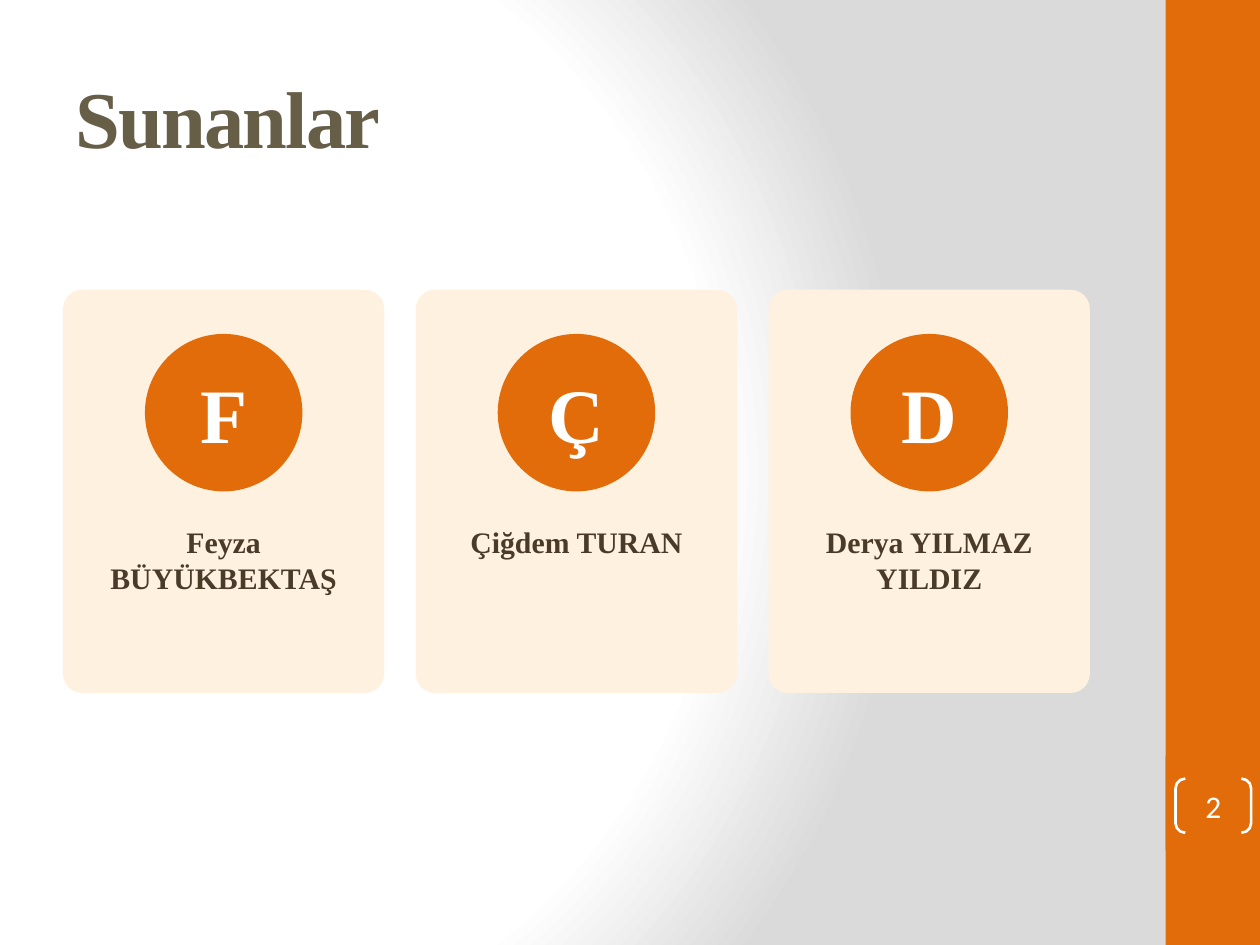
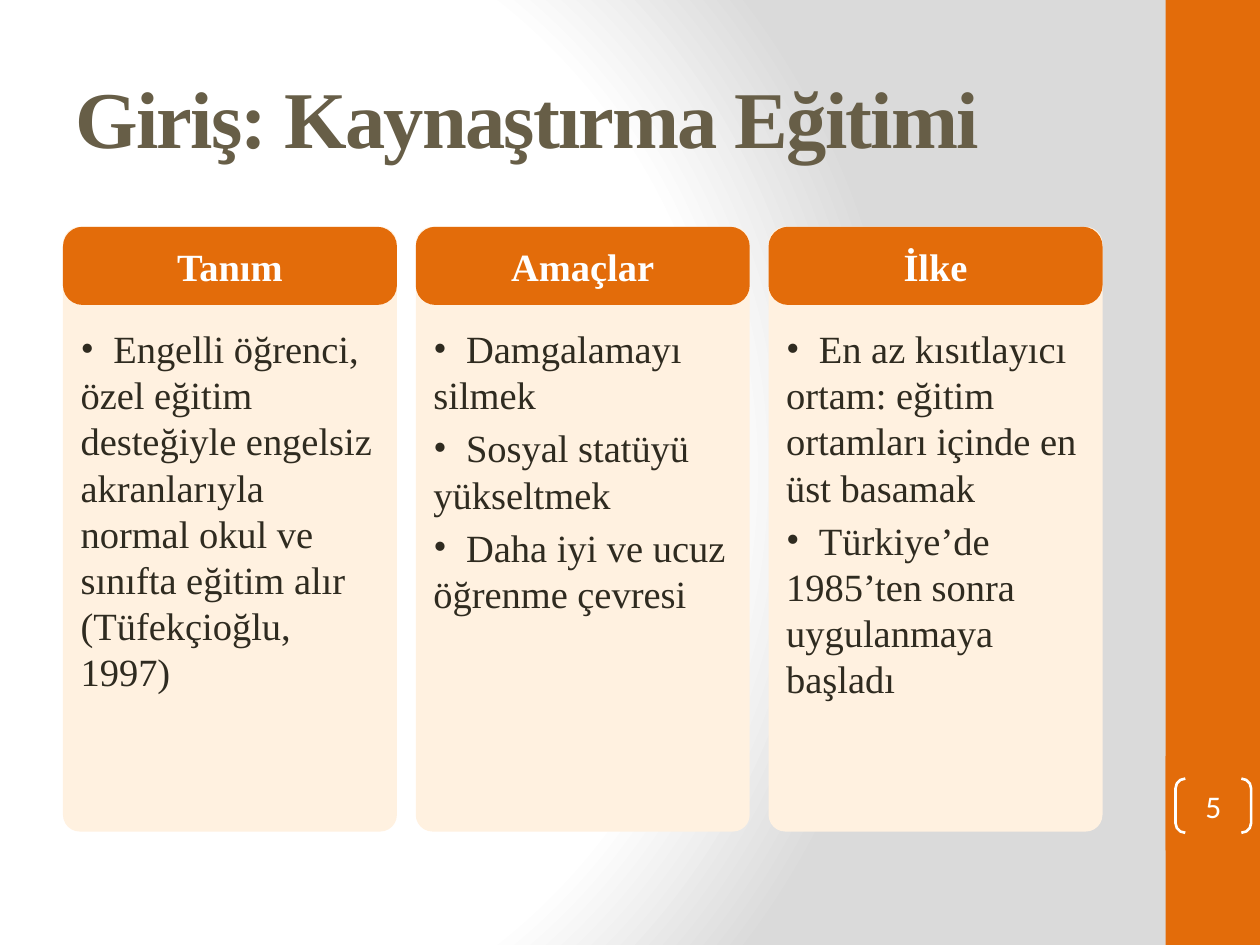
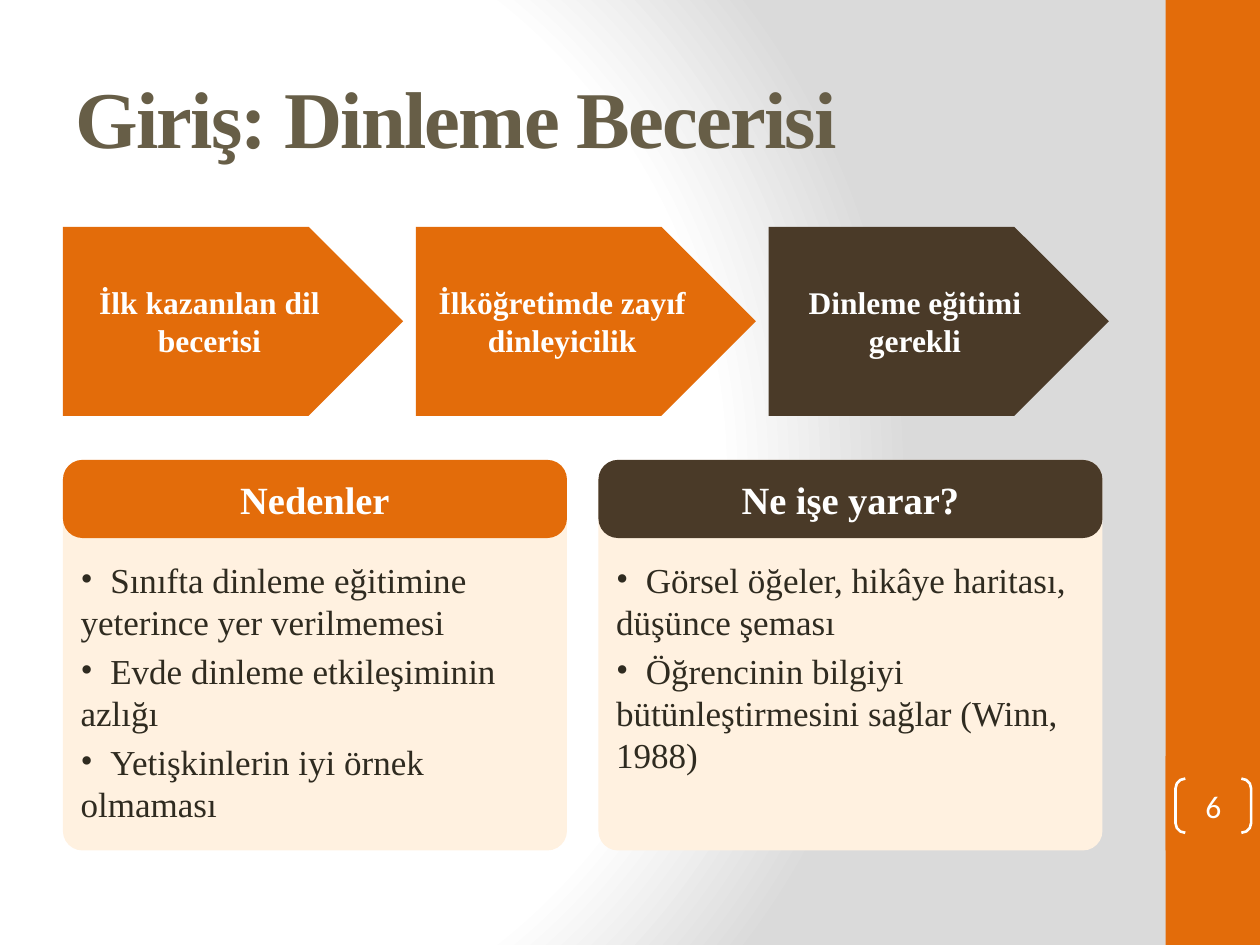
import pptx
import pptx.util
import pptx.oxml
import pptx.dml.color
import pptx.enum.shapes
import pptx.enum.text

Inches = pptx.util.Inches
Pt = pptx.util.Pt
SHAPE = pptx.enum.shapes.MSO_SHAPE
ALIGN = pptx.enum.text.PP_ALIGN
ANCHOR = pptx.enum.text.MSO_ANCHOR
NS = 'xmlns:a="http://schemas.openxmlformats.org/drawingml/2006/main"'

COLORS = {
    "white": "FFFFFF",
    "gray": "DADADA",
    "orange": "E36C0A",
    "cream": "FFF1E0",
    "brown": "4A3A28",
    "olive": "675E47",
    "ink": "2F2B20",
}
SERIF = "Times New Roman"
LEFT = 0.5
STEP = 2.8
TOP = 1.8


def color(name):
    return pptx.dml.color.RGBColor.from_string(COLORS[name])


def add_bullet(para, size):
    props = para._p.get_or_add_pPr()
    props.set("marL", "0")
    props.set("indent", "0")
    gap = Pt(size * 0.85)
    for xml in (
        f'<a:buFont {NS} typeface="{SERIF}"/>',
        f'<a:buChar {NS} char="•"/>',
        f'<a:tabLst {NS}><a:tab pos="{gap}" algn="l"/></a:tabLst>',
    ):
        props.append(pptx.oxml.parse_xml(xml))


def write(shape, text, size=22, ink="white", bold=True, font=SERIF,
          align=ALIGN.CENTER, anchor=ANCHOR.MIDDLE, pad=(0.12, 0.06),
          after=4, track=None, bullet=False):
    frame = shape.text_frame
    frame.word_wrap = True
    frame.vertical_anchor = anchor
    frame.margin_left = frame.margin_right = Inches(pad[0])
    frame.margin_top = frame.margin_bottom = Inches(pad[1])
    lines = text if isinstance(text, list) else [text]
    for i, line in enumerate(lines):
        para = frame.add_paragraph() if i else frame.paragraphs[0]
        para.alignment = align
        para.space_after = Pt(after)
        if bullet:
            add_bullet(para, size)
        run = para.add_run()
        run.text = "\t" + line if bullet else line
        run.font.name = font
        run.font.size = Pt(size)
        run.font.bold = bold
        run.font.color.rgb = color(ink)
        if track is not None:
            run._r.get_or_add_rPr().set("spc", str(track * 100))


class Deck:
    def __init__(self):
        self.prs = pptx.Presentation()
        self.prs.slide_width = Inches(10)
        self.prs.slide_height = Inches(7.5)
        self.slide = None
        self.paint_back()

    def paint_back(self):
        master = self.prs.slide_master
        master.background.fill.solid()
        old = master.element.xpath("p:cSld/p:bg/p:bgPr/a:solidFill")[0]
        stops = "".join(
            f'<a:gs pos="{pos * 1000}"><a:srgbClr val="{COLORS[name]}"/></a:gs>'
            for pos, name in ((0, "white"), (75, "white"), (100, "gray"))
        )
        grad = pptx.oxml.parse_xml(
            f'<a:gradFill {NS} rotWithShape="1"><a:gsLst>{stops}</a:gsLst>'
            '<a:path path="circle"><a:fillToRect l="20000" t="50000" '
            'r="100000" b="50000"/></a:path></a:gradFill>'
        )
        old.getparent().replace(old, grad)

    def start(self, title):
        self.slide = self.prs.slides.add_slide(self.prs.slide_layouts[6])
        for top, high in ((0, 7.5), (6, 0.75)):
            self.shape(SHAPE.RECTANGLE, 9.25, top, 0.75, high, "orange")
        self.text(title, LEFT, 0.3, 8.33, 1.25, size=46, ink="olive",
                  align=ALIGN.LEFT, anchor=ANCHOR.MIDDLE, pad=(0.1, 0.05),
                  after=0, track=-1)

    def shape(self, kind, left, top, wide, high, fill=None, adj=None):
        item = self.slide.shapes.add_shape(
            kind, Inches(left), Inches(top), Inches(wide), Inches(high))
        item.shadow.inherit = False
        item.line.fill.background()
        if fill:
            item.fill.solid()
            item.fill.fore_color.rgb = color(fill)
        else:
            item.fill.background()
        if adj is not None:
            item.adjustments[0] = adj
        return item

    def text(self, text, left, top, wide, high, **style):
        box = self.slide.shapes.add_textbox(
            Inches(left), Inches(top), Inches(wide), Inches(high))
        write(box, text, **style)

    def person(self, left, name):
        top = 2.3
        self.shape(SHAPE.ROUNDED_RECTANGLE, left, top, 2.55, 3.2, "cream", 0.06)
        disc = self.shape(SHAPE.OVAL, left + 0.65, top + 0.35, 1.25, 1.25, "orange")
        write(disc, name[0], size=44, pad=(0.02, 0.06))
        self.text(name, left + 0.1, top + 1.8, 2.35, 1.2, size=17, ink="brown",
                  anchor=ANCHOR.TOP, pad=(0.05, 0.06))

    def card(self, left, top, wide, high, head, points, size=22, fill="orange"):
        self.shape(SHAPE.ROUNDED_RECTANGLE, left, top, wide, high, "cream", 0.05)
        bar = self.shape(SHAPE.ROUNDED_RECTANGLE, left, top, wide, 0.62, fill, 0.25)
        write(bar, head)
        self.text(points, left + 0.08, top + 0.72, wide - 0.16, high - 0.8,
                  size=size, ink="ink", bold=False, align=ALIGN.LEFT,
                  anchor=ANCHOR.TOP, pad=(0.06, 0.06), bullet=True)

    def arrow(self, left, label, fill):
        item = self.shape(SHAPE.PENTAGON, left, TOP, 2.7, 1.5, fill)
        write(item, label, size=18)

    def number(self, page):
        item = self.shape(SHAPE.DOUBLE_BRACKET, 9.33, 6.18, 0.6, 0.43, adj=0.18)
        item.line.color.rgb = color("white")
        item.line.width = Pt(1.5)
        write(item, str(page), size=18, bold=False, font="Calibri",
              pad=(0, 0), after=0)


def main():
    deck = Deck()

    deck.start("Sunanlar")
    people = ["Feyza BÜYÜKBEKTAŞ", "Çiğdem TURAN", "Derya YILMAZ YILDIZ"]
    for i, name in enumerate(people):
        deck.person(LEFT + i * STEP, name)
    deck.number(2)

    deck.start("Giriş: Kaynaştırma Eğitimi")
    topics = [
        ("Tanım", ["Engelli öğrenci, özel eğitim desteğiyle engelsiz "
                   "akranlarıyla normal okul ve sınıfta eğitim alır "
                   "(Tüfekçioğlu, 1997)"]),
        ("Amaçlar", ["Damgalamayı silmek",
                     "Sosyal statüyü yükseltmek",
                     "Daha iyi ve ucuz öğrenme çevresi"]),
        ("İlke", ["En az kısıtlayıcı ortam: eğitim ortamları içinde en üst basamak",
                  "Türkiye’de 1985’ten sonra uygulanmaya başladı"]),
    ]
    for i, (head, points) in enumerate(topics):
        deck.card(LEFT + i * STEP, TOP, 2.65, 4.8, head, points)
    deck.number(5)

    deck.start("Giriş: Dinleme Becerisi")
    stages = [
        ("İlk kazanılan dil becerisi", "orange"),
        ("İlköğretimde zayıf dinleyicilik", "orange"),
        ("Dinleme eğitimi gerekli", "brown"),
    ]
    for i, (label, fill) in enumerate(stages):
        deck.arrow(LEFT + i * STEP, label, fill)
    panels = [
        ("Nedenler", "orange", ["Sınıfta dinleme eğitimine yeterince yer verilmemesi",
                                "Evde dinleme etkileşiminin azlığı",
                                "Yetişkinlerin iyi örnek olmaması"]),
        ("Ne işe yarar?", "brown", ["Görsel öğeler, hikâye haritası, düşünce şeması",
                                    "Öğrencinin bilgiyi bütünleştirmesini sağlar "
                                    "(Winn, 1988)"]),
    ]
    for i, (head, fill, points) in enumerate(panels):
        deck.card(LEFT + i * 4.25, 3.65, 4, 3.1, head, points, size=20, fill=fill)
    deck.number(6)

    deck.prs.save("out.pptx")


if __name__ == "__main__":
    main()
